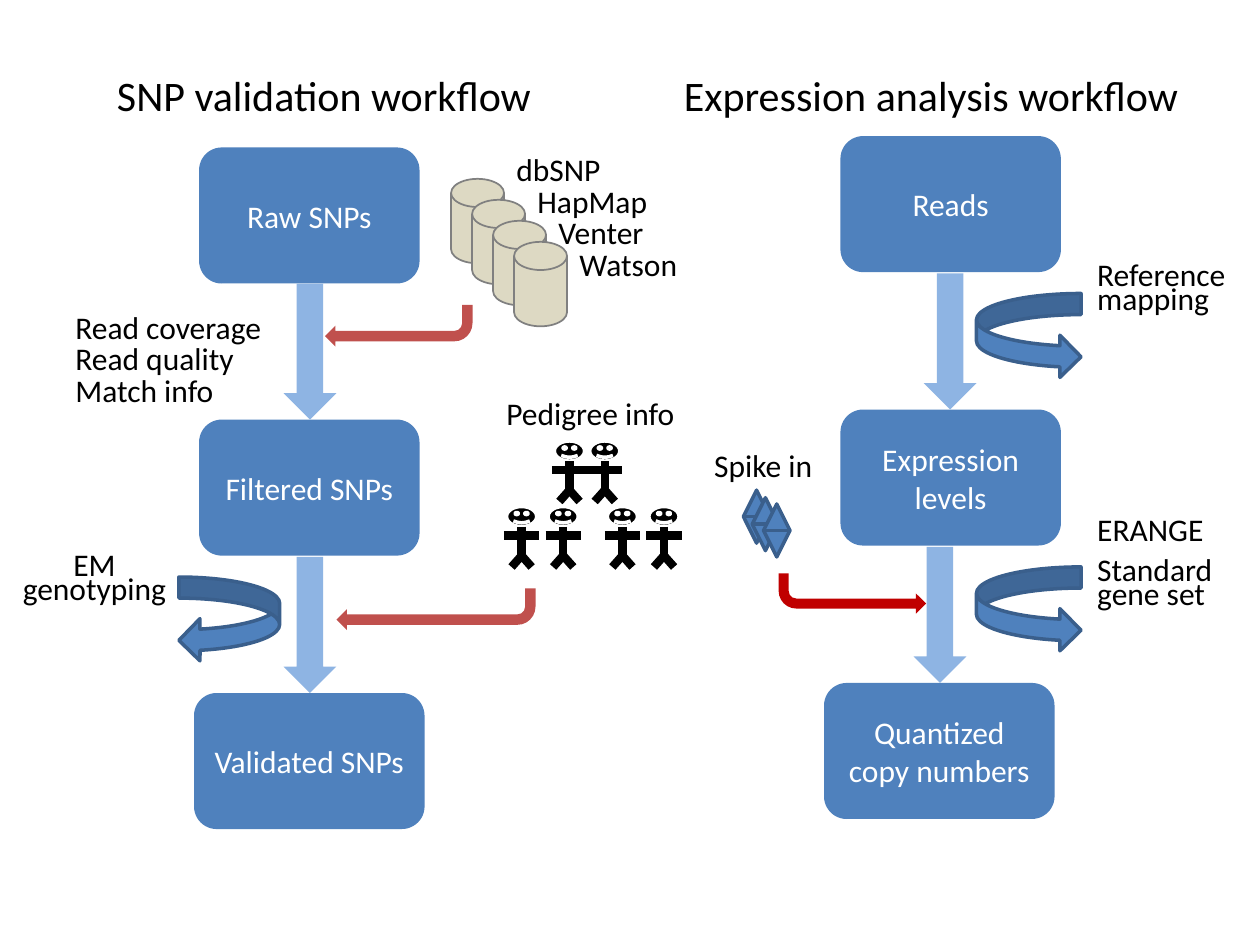
from lxml import etree
from pptx import Presentation, util as u
from pptx.dml.color import RGBColor
from pptx.enum import shapes, text
from pptx.oxml.ns import qn

KIND = shapes.MSO_SHAPE
FONT = "Calibri"
COLORS = {"box": "4F81BD", "edge": "3A5F8C", "flow": "8EB4E3", "filter": "C0504D",
          "spike": "C00000", "disk": "DDD9C3", "disk edge": "808080",
          "ink": "000000", "paper": "FFFFFF"}

# Workflow steps: left, top, width, label
BOX_HEIGHT = 1.08
STEPS = [
    (1.58, 1.17, 1.75, "Raw SNPs"),
    (1.58, 3.33, 1.75, "Filtered SNPs"),
    (1.54, 5.5, 1.83, "Validated SNPs"),
    (6.67, 1.08, 1.75, "Reads"),
    (6.67, 3.25, 1.75, "Expression levels"),
    (6.54, 5.42, 1.83, "Quantized copy numbers"),
]
# Centres of the arrows between steps
FLOWS = [(2.46, 2.79), (2.46, 4.96), (7.54, 2.71), (7.46, 4.88)]
# Arrows that bring in outside data: place, colour, rotation, flipped
INPUTS = [
    ((2.58, 2.42, 1.17, 0.33), "filter", 180, False),
    ((2.67, 4.67, 1.58, 0.33), "filter", 180, False),
    ((6.18, 4.55, 1.17, 0.32), "spike", 0, True),
]
LOOPS = [
    (KIND.CURVED_LEFT_ARROW, (1.42, 4.58, 0.8, 0.67)),
    (KIND.CURVED_RIGHT_ARROW, (7.75, 2.33, 0.83, 0.67)),
    (KIND.CURVED_RIGHT_ARROW, (7.75, 4.5, 0.83, 0.67)),
]
DATABASES = ["dbSNP", "HapMap", "Venter", "Watson"]
CRITERIA = ["Read coverage", "Read quality", "Match info"]
# Head centre and top of each family member
PEOPLE = [(4.52, 3.5), (4.8, 3.5),
          (4.47, 4.02), (4.14, 4.02), (5.27, 4.02), (4.94, 4.02)]
# Body, two legs and arms, relative to the head
LIMBS = [(0, 0.16, 0, 0.4), (0, 0.39, 0.08, 0.48),
         (0, 0.39, -0.08, 0.48), (-0.14, 0.23, 0.14, 0.23)]
SPIKES = [(5.9, 3.89), (5.97, 3.95), (6.06, 4.0)]
# Place, paragraphs, format
LABELS = [
    ((0.83, 0.5, 3.75, 0.5), ["SNP validation workflow"], {"size": 24}),
    ((5.33, 0.5, 4.33, 0.5), ["Expression analysis workflow"], {"size": 24}),
    ((3.92, 3.08, 1.67, 0.4), ["Pedigree info"], {}),
    ((5.57, 3.49, 1.08, 0.4), ["Spike in"], {}),
    ((0, 4.38, 1.5, 0.51), ["EM\vgenotyping"], {"spacing": 14, "center": True}),
    ((8.61, 2.08, 1.23, 0.51), ["Reference", "mapping"], {"spacing": 14, "wrap": False}),
    ((8.61, 4, 1.05, 0.4), ["ERANGE"], {"wrap": False}),
    ((8.61, 4.42, 1.12, 0.51), ["Standard", "gene set"], {"spacing": 14, "wrap": False}),
]

deck = Presentation()
deck.slide_width, deck.slide_height = u.Inches(10), u.Inches(7.5)
page = deck.slides.add_slide(deck.slide_layouts[6])


def color(name):
    """Look up a named colour."""
    return RGBColor.from_string(COLORS[name])


def inches(values):
    """Turn numbers into lengths."""
    return [u.Inches(value) for value in values]


def write(shape, lines, size=18, ink="ink", center=False, spacing=None, wrap=True):
    """Fill a shape with formatted paragraphs."""
    frame = shape.text_frame
    frame.word_wrap = wrap
    for index, line in enumerate(lines):
        para = frame.add_paragraph() if index else frame.paragraphs[0]
        para.text = line
        para.alignment = text.PP_ALIGN.CENTER if center else text.PP_ALIGN.LEFT
        if spacing:
            para.line_spacing = u.Pt(spacing)
        for span in para.runs:
            span.font.name, span.font.size = FONT, u.Pt(size)
            span.font.color.rgb = color(ink)


def label(place, lines, **style):
    """Add a text box."""
    box = page.shapes.add_textbox(*inches(place))
    write(box, lines, **style)
    box.text_frame.auto_size = text.MSO_AUTO_SIZE.SHAPE_TO_FIT_TEXT


def draw(kind, place, fill, edge=None, width=2):
    """Add a flat preset shape."""
    shape = page.shapes.add_shape(kind, *inches(place))
    shape.shadow.inherit = False
    shape.fill.solid()
    shape.fill.fore_color.rgb = color(fill)
    if edge:
        shape.line.color.rgb = color(edge)
        shape.line.width = u.Pt(width)
    else:
        shape.line.fill.background()
    return shape


def person(x, y):
    """Draw a stick figure whose head is centred on x with its top at y."""
    draw(KIND.SMILEY_FACE, (x - 0.12, y, 0.24, 0.16), "ink", "paper")
    for x1, y1, x2, y2 in LIMBS:
        limb = page.shapes.add_connector(
            shapes.MSO_CONNECTOR.STRAIGHT, *inches((x + x1, y + y1, x + x2, y + y2)))
        limb.line.color.rgb = color("ink")
        limb.line.width = u.Pt(4.75)
        etree.SubElement(limb._element.spPr, qn("a:effectLst"))


for left, top, width, name in STEPS:
    step = draw(KIND.ROUNDED_RECTANGLE, (left, top, width, BOX_HEIGHT), "box")
    write(step, [name], ink="paper", center=True)
    step.text_frame.vertical_anchor = text.MSO_ANCHOR.MIDDLE

for x, y in FLOWS:
    draw(KIND.RIGHT_ARROW, (x - 0.54, y - 0.21, 1.08, 0.42), "flow").rotation = 90

for place, fill, turn, flipped in INPUTS:
    arrow = draw(KIND.BENT_ARROW, place, fill)
    arrow.rotation = turn
    if flipped:
        arrow._element.spPr.find(qn("a:xfrm")).set("flipV", "1")

for kind, place in LOOPS:
    draw(kind, place, "box", "edge")

for index, name in enumerate(DATABASES):
    shift = index / 6
    draw(KIND.FLOWCHART_MAGNETIC_DISK, (3.58 + shift, 1.42 + shift, 0.42, 0.67),
         "disk", "disk edge", 1)
for index, name in enumerate(DATABASES):
    label((4 + index / 6, 1.25 + index / 4, 1.17, 0.31), [name], spacing=14)

for index, name in enumerate(CRITERIA):
    label((0.5, 2.5 + index / 4, 1.83, 0.31), [name], spacing=14)

for x, y in PEOPLE:
    person(x, y)

for left, top in SPIKES:
    draw(KIND.FLOWCHART_SORT, (left, top, 0.21, 0.42), "box", "edge")

for place, lines, style in LABELS:
    label(place, lines, **style)

deck.save("out.pptx")
